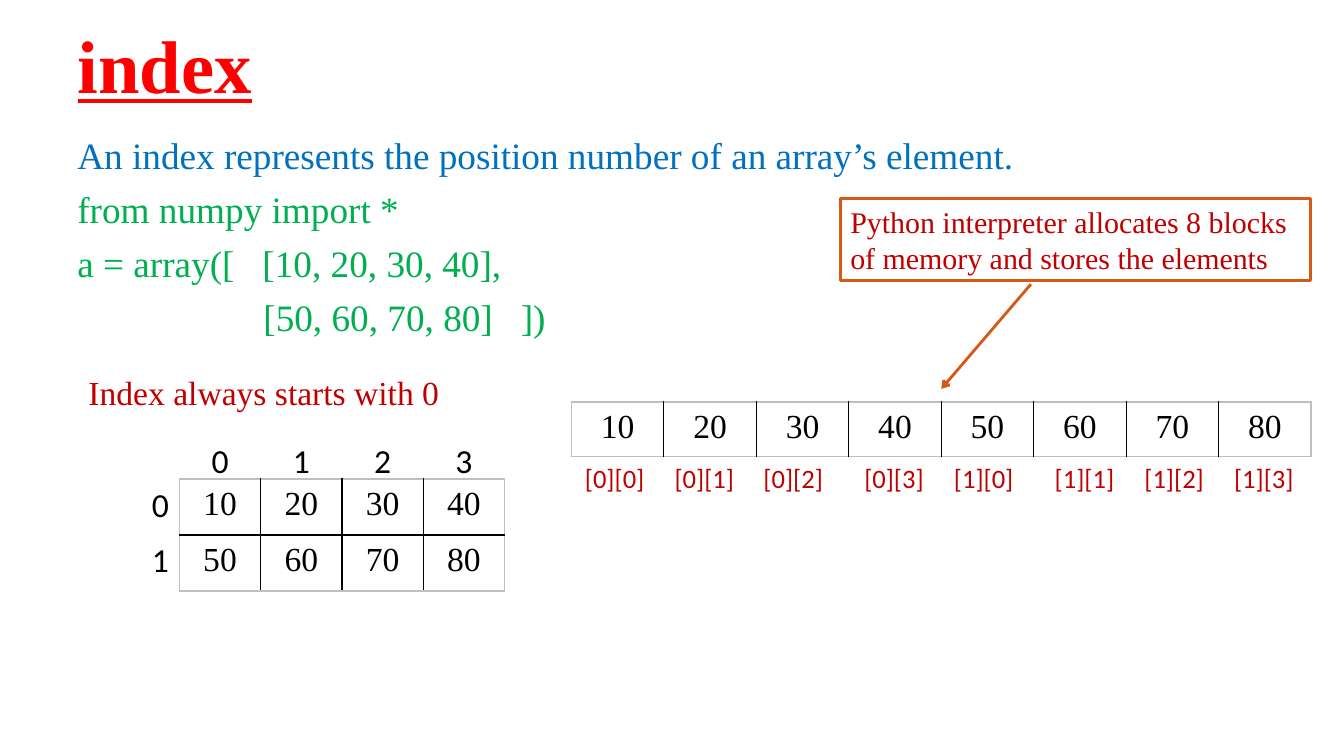
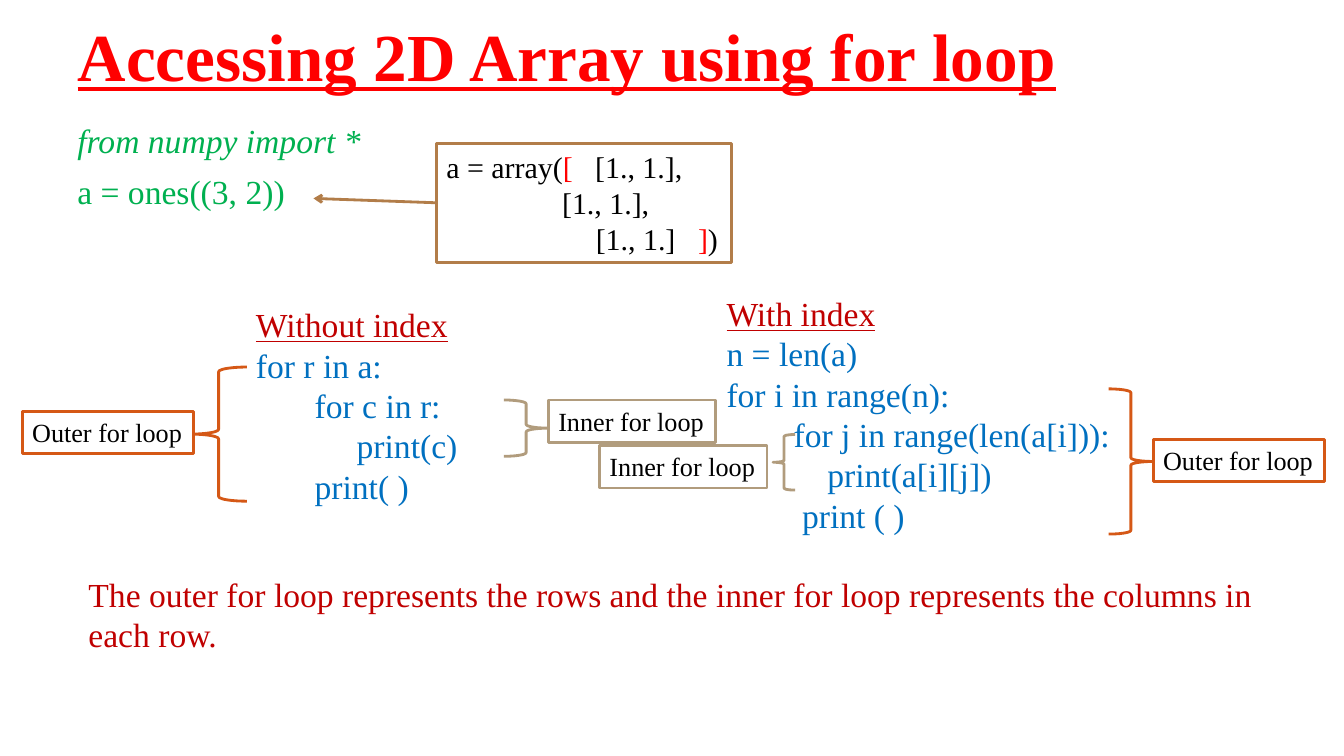
"""Build two slides on indexing and looping over 2D arrays."""
from lxml.etree import SubElement
from pptx import Presentation
from pptx.dml.color import RGBColor
from pptx.enum.shapes import MSO_CONNECTOR, MSO_SHAPE
from pptx.enum.text import MSO_ANCHOR, MSO_AUTO_SIZE, PP_ALIGN
from pptx.oxml.ns import qn
from pptx.util import Cm, Pt

SERIF, SANS = "Times New Roman", "Calibri"
RED, DARK_RED, BLUE, GREEN = "FF0000", "C00000", "0070C0", "00B050"
BLACK, WHITE, GREY = "000000", "FFFFFF", "BFBFBF"
ORANGE, TAN, BROWN = "D55816", "B19C7D", "B27D49"
NO_STYLE = "{2D5ABB26-0587-4C30-8999-92F81FD0307C}"
rgb = RGBColor.from_string


def add_text(slide, place, lines, size, color, wrap=True, outline=None):
    """Add a text box, outlined on white if a line colour is given."""
    box = slide.shapes.add_textbox(*map(Cm, place))
    if outline:
        box.fill.solid()
        box.fill.fore_color.rgb = rgb(WHITE)
        box.line.color.rgb = rgb(outline)
        box.line.width = Pt(2)
    frame = box.text_frame
    frame.word_wrap = wrap
    frame.text = "\n".join(lines)
    for paragraph in frame.paragraphs:
        if "\t" in paragraph.text:
            tabs = SubElement(paragraph._p.get_or_add_pPr(), qn("a:tabLst"))
            SubElement(tabs, qn("a:tab"), pos=str(Cm(2.54)), algn="l")
        paragraph.font.name = SERIF
        paragraph.font.size = Pt(size)
        paragraph.font.color.rgb = rgb(color)
    return box


def add_grid(slide, rows, left, top, col_width, row_height, font=SANS,
             size=24, color=BLACK, align=PP_ALIGN.CENTER, ruled=False):
    """Add a plain table of equal cells, with rules if asked for."""
    row_count, col_count = len(rows), len(rows[0])
    table = slide.shapes.add_table(
        row_count, col_count, Cm(left), Cm(top),
        Cm(col_width * col_count), Cm(row_height * row_count)).table
    table.first_row = table.horz_banding = False
    table._tbl.tblPr.find(qn("a:tableStyleId")).text = NO_STYLE
    for column in table.columns:
        column.width = Cm(col_width)
    for row in table.rows:
        row.height = Cm(row_height)
    for r, values in enumerate(rows):
        for c, value in enumerate(values):
            cell = table.cell(r, c)
            cell.text = str(value)
            cell.margin_left = cell.margin_right = Cm(0.34)
            cell.margin_top = cell.margin_bottom = Cm(0.17)
            edges = {"a:lnL": c == 0, "a:lnR": c == col_count - 1,
                     "a:lnT": r == 0, "a:lnB": r == row_count - 1}
            if ruled:
                for tag, outer in edges.items():
                    rule = SubElement(cell._tc.get_or_add_tcPr(), qn(tag), w=str(Pt(1)))
                    fill = SubElement(rule, qn("a:solidFill"))
                    SubElement(fill, qn("a:srgbClr"), val=GREY if outer else BLACK)
            cell.fill.background()
            paragraph = cell.text_frame.paragraphs[0]
            paragraph.alignment = align
            paragraph.font.name = font
            paragraph.font.size = Pt(size)
            paragraph.font.color.rgb = rgb(color)


prs = Presentation()
prs.slide_width, prs.slide_height = Cm(33.87), Cm(19.05)

slides = []
for heading, top, size in [("index", 0.15, 53.3),
                           ("Accessing 2D Array using for loop", -0.08, 48)]:
    slide = prs.slides.add_slide(prs.slide_layouts[5])
    slides.append(slide)
    title = slide.shapes.title
    title.left, title.top, title.width, title.height = map(Cm, (1.7, top, 30.48, 3.18))
    title.text_frame.text = heading
    title.text_frame.auto_size = MSO_AUTO_SIZE.NONE
    title.text_frame.vertical_anchor = MSO_ANCHOR.MIDDLE
    paragraph = title.text_frame.paragraphs[0]
    paragraph.alignment = PP_ALIGN.LEFT
    paragraph.line_spacing = 0.9
    paragraph.font.name = SERIF
    paragraph.font.size = Pt(size)
    paragraph.font.bold = paragraph.font.underline = True
    paragraph.font.color.rgb = rgb(RED)
index_slide, loop_slide = slides

definition = add_text(index_slide, (1.7, 3.33, 30.48, 5.9), [
    "An index represents the position number of an array’s element.",
    "from numpy import *",
    "a = array([   [10, 20, 30, 40],",
    "                    [50, 60, 70, 80]   ])"], 26.6, GREEN)
definition.text_frame.paragraphs[0].font.color.rgb = rgb(BLUE)
ones_code = add_text(loop_slide, (1.7, 3.02, 25.12, 4.24),
                     ["from numpy import *", "a = ones((3, 2))"], 24, GREEN)
ones_code.text_frame.paragraphs[0].font.italic = True
for body in (definition, ones_code):
    for i, paragraph in enumerate(body.text_frame.paragraphs):
        paragraph.line_spacing = 0.9
        if i:
            paragraph.space_before = Pt(10)

add_text(index_slide, (1.98, 9.25, 9.45, 1.27), ["Index always starts with 0"],
         24, DARK_RED, wrap=False)
add_text(index_slide, (21.18, 5, 11.84, 2.08),
         ["Python interpreter allocates 8 blocks of memory and stores the elements"],
         21.4, DARK_RED, outline=ORANGE)

matrix = [[10, 20, 30, 40], [50, 60, 70, 80]]
add_grid(index_slide, [matrix[0] + matrix[1]], 14.4, 10.13, 2.33, 1.38,
         font=SERIF, ruled=True)
add_grid(index_slide, matrix, 4.52, 12.07, 2.05, 1.41, font=SERIF, ruled=True)
add_grid(index_slide, [[0], [1]], 2.82, 12.07, 2.44, 1.37)
add_grid(index_slide, [[0, 1, 2, 3]], 4.52, 10.95, 2.05, 1.37)
position_lefts = [14.4, 16.66, 18.9, 21.44, 23.7, 26.24, 28.5, 30.76]
for i, left in enumerate(position_lefts):
    add_grid(index_slide, [[f"[{i // 4}][{i % 4}]"]], left, 11.51, 2.26, 1.37,
             size=19, color=DARK_RED, align=PP_ALIGN.LEFT)

loops = [
    ((18.06, 7.26, 12.42, 6.4),
     ["With index", "n = len(a)", "for i in range(n):",
      "        for j in range(len(a[i])):", "\tprint(a[i][j])", "         print ( )"]),
    ((6.2, 7.54, 8.74, 5.38),
     ["Without index", "for r in a:", "       for c in r:", "\tprint(c)",
      "       print( )"]),
]
for place, lines in loops:
    loop_code = add_text(loop_slide, place, lines, 24, BLUE)
    loop_heading = loop_code.text_frame.paragraphs[0]
    loop_heading.font.underline = True
    loop_heading.font.color.rgb = rgb(DARK_RED)

LEFT, RIGHT = MSO_SHAPE.LEFT_BRACE, MSO_SHAPE.RIGHT_BRACE
brackets = [
    ("Outer for loop", ORANGE, LEFT, (4.8, 9.25, 1.42, 3.38), (0.56, 10.36, 4.32, 1.07)),
    ("Outer for loop", ORANGE, RIGHT, (27.94, 9.8, 1.12, 3.66), (29.06, 11.07, 4.32, 1.07)),
    ("Inner for loop", TAN, RIGHT, (12.7, 10.08, 1.12, 1.42), (13.82, 10.08, 4.22, 1.07)),
    ("Inner for loop", TAN, LEFT, (19.48, 10.95, 0.56, 1.4), (15.11, 11.23, 4.22, 1.07)),
]
for label, color, side, brace_place, label_place in brackets:
    brace = loop_slide.shapes.add_shape(side, *map(Cm, brace_place))
    brace.shadow.inherit = False
    brace.fill.background()
    brace.line.color.rgb = rgb(color)
    brace.line.width = Pt(2)
    add_text(loop_slide, label_place, [label], 18.7, BLACK, wrap=False, outline=color)

add_text(loop_slide, (1.98, 14.33, 30.81, 2.31),
         ["The outer for loop represents the rows and the inner for loop "
          "represents the columns in each row."], 24, DARK_RED)

array_value = add_text(loop_slide, (11, 3.61, 7.44, 3), [
    "a = array(", "\t  [1., 1.],", "                    [1., 1.]   "],
    21.4, BLACK, wrap=False, outline=BROWN)
first_row, _, last_row = array_value.text_frame.paragraphs
for row, bracket, rest in [(first_row, "[   ", "[1., 1.],"), (last_row, "]", ")")]:
    red_bracket = row.add_run()
    red_bracket.text = bracket
    red_bracket.font.color.rgb = rgb(RED)
    row.add_run().text = rest

arrows = [(index_slide, (25.98, 7.16, 23.72, 9.8), ORANGE, None),
          (loop_slide, (11, 5.11, 7.9, 5), BROWN, array_value)]
for slide, ends, color, source in arrows:
    arrow = slide.shapes.add_connector(MSO_CONNECTOR.STRAIGHT, *map(Cm, ends))
    if source:
        arrow.begin_connect(source, 1)
    arrow.line.color.rgb = rgb(color)
    arrow.line.width = Pt(2)
    SubElement(arrow.line._get_or_add_ln(), qn("a:tailEnd"), type="arrow")
    SubElement(arrow._element.spPr, qn("a:effectLst"))

prs.save("out.pptx")
